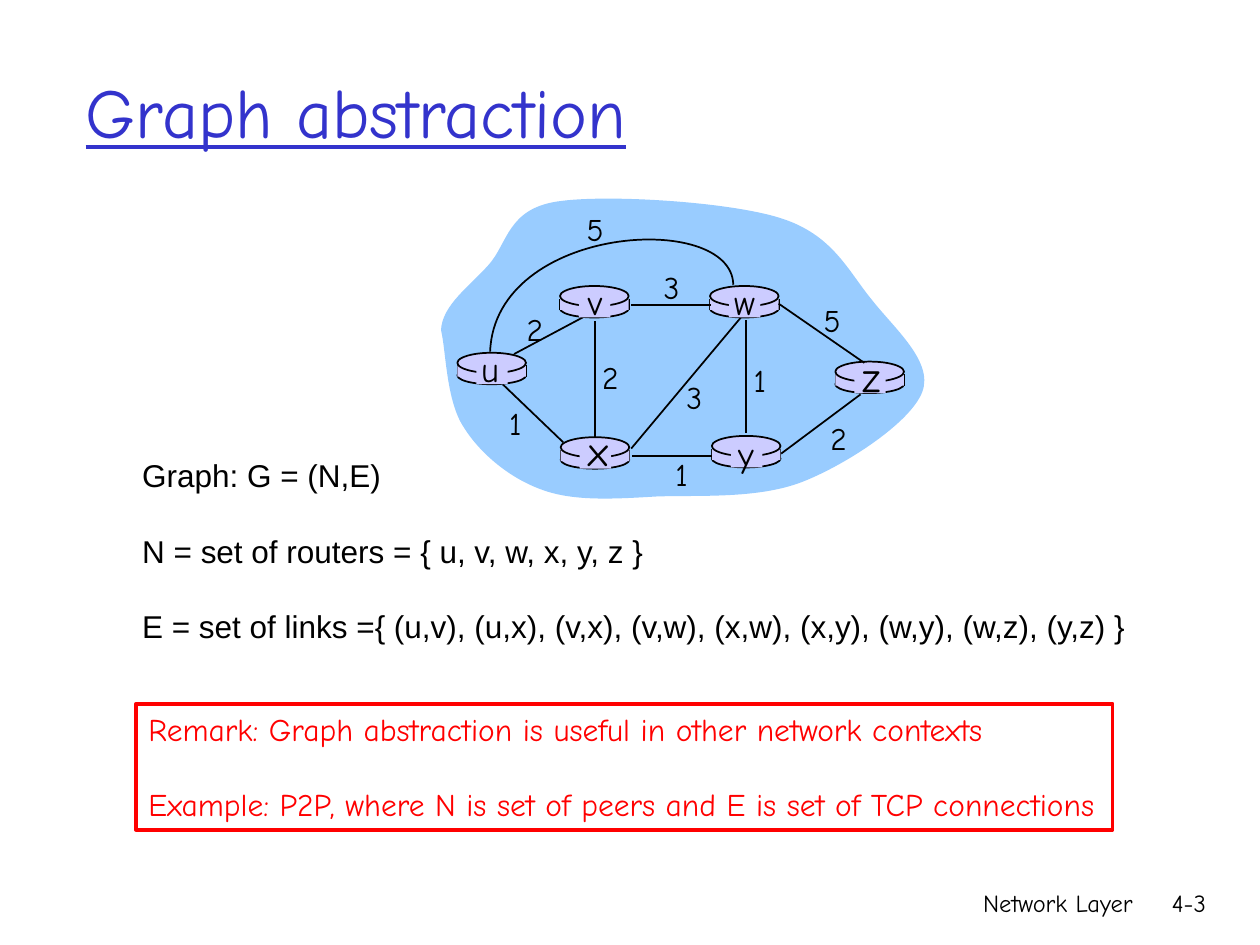
"""Build the slide on graph abstraction of a router network."""
from lxml.etree import SubElement
from pptx import Presentation
from pptx.dml.color import RGBColor as Color
from pptx.enum.shapes import MSO_CONNECTOR as Link, MSO_SHAPE as Preset
from pptx.enum.text import MSO_ANCHOR as Anchor, MSO_AUTO_SIZE as Fit, PP_ALIGN as Align
from pptx.oxml.ns import qn
from pptx.util import Inches, Pt

COLORS = {"cloud": "99CCFF", "router": "CCCCFF", "ink": "000000", "title": "3333CC", "remark": "FF0000"}
PALETTE = {name: Color.from_string(code) for name, code in COLORS.items()}

deck = Presentation()
deck.slide_width, deck.slide_height = Inches(10), Inches(7.5)
CELL = deck.slide_width // 100
page = deck.slides.add_slide(deck.slide_layouts[5])
graph = page.shapes.add_group_shape().shapes


def write(shape, lines, size, color="ink", font="Comic Neue", align=Align.LEFT,
          anchor=Anchor.TOP, wrap=False, gap=0, underline=None):
    frame = shape.text_frame
    frame_format = {"word_wrap": wrap, "auto_size": Fit.NONE, "vertical_anchor": anchor}
    for name, value in frame_format.items():
        setattr(frame, name, value)
    frame.text = "\n".join(lines)
    for index, para in enumerate(frame.paragraphs):
        para.alignment = align
        para.space_before = Pt(gap if index else 0)
        font_format = {"name": font, "size": Pt(size), "underline": underline}
        for name, value in font_format.items():
            setattr(para.runs[0].font, name, value)
        para.runs[0].font.color.rgb = PALETTE[color]


def draw_curve(start, bends, closed):
    grid = [(round(x * CELL), round(y * CELL)) for x, y in [start, *sum(bends, ())]]
    builder = graph.build_freeform(*grid[0])
    builder.add_line_segments(grid[1:], close=closed)
    curve = builder.convert_to_shape()
    segments = list(curve.element.iter(qn("a:lnTo")))
    for first, *others in zip(segments[::3], segments[1::3], segments[2::3]):
        outline = first.getparent()
        bend = SubElement(outline, qn("a:cubicBezTo"))
        outline.replace(first, bend)
        bend.append(first[0])
        for segment in others:
            bend.append(segment[0])
            outline.remove(segment)
    return curve


cloud = draw_curve((35, 26.2), [
    ((35.1, 24.2), (37.3, 22.7), (38.8, 21)),
    ((40.3, 19.3), (40.3, 16.6), (44.2, 16)),
    ((48, 15.4), (57.8, 16), (61.9, 17.3)),
    ((66.1, 18.6), (67.3, 21.5), (69.2, 23.8)),
    ((71, 26.1), (74.1, 28.7), (73.2, 31.1)),
    ((72.3, 33.5), (67.3, 36.8), (63.8, 38.2)),
    ((60.3, 39.6), (55.7, 39.3), (52.2, 39.4)),
    ((48.8, 39.6), (45.6, 39.8), (43.1, 38.9)),
    ((40.5, 38), (38.1, 36), (36.8, 33.9)),
    ((35.4, 31.8), (35.4, 27.8), (35, 26.2)),
], True)
cloud.fill.solid()
cloud.fill.fore_color.rgb = PALETTE["cloud"]
cloud.line.fill.background()

routers = [(36.3, 28), (44.5, 34.7), (44.45, 22.7), (56.35, 22.7), (56.5, 34.6), (66.3, 28.7)]
edges = [
    (40.8, 28.1, 46.8, 24.9), (59.2, 25.4, 59.2, 34.4), (47.2, 25.5, 47.2, 34.8),
    (50.1, 35.6, 58.8, 25.2), (62, 36, 68.3, 31.3), (56.5, 36.2, 50.2, 36.2),
    (44.7, 35.1, 39.9, 30.5), (56.4, 24.2, 50.1, 24.2), (68.6, 28.8, 61.8, 24.1),
]
pieces = [(None, edges[0], True)]
for x, y in routers:
    pieces += [
        (Preset.OVAL, (x, y + 1.1, 5.45, 1.4), True),
        (None, (x, y + 1, x, y + 1.9), True),
        (None, (x + 5.45, y + 1, x + 5.45, y + 1.9), True),
        (Preset.RECTANGLE, (x, y + 1, 5.45, 0.9), False),
        (Preset.OVAL, (x, y, 5.45, 1.6), True),
    ]
pieces += [(None, edge, True) for edge in edges[1:]]
pieces += [(Preset.RECTANGLE, (x + 1.5, y + 0.2, 2.5, 2.3), False) for x, y in routers]

for preset, place, outlined in pieces:
    place = [round(length * CELL) for length in place]
    if preset is None:
        piece = graph.add_connector(Link.STRAIGHT, *place)
    else:
        piece = graph.add_shape(preset, *place)
        piece.fill.solid()
        piece.fill.fore_color.rgb = PALETTE["router"]
    if outlined:
        piece.line.color.rgb = PALETTE["ink"]
        piece.line.width = Pt(1)
    else:
        piece.line.fill.background()

arc = draw_curve((58.2, 22.6), [((58.1, 16.7), (39.3, 17.8), (38.9, 27.9))], False)
arc.fill.background()
arc.line.color.rgb = PALETTE["ink"]
arc.line.width = Pt(1)

labels = [
    ("u", 37.2, 27.1, 3.4, 20), ("y", 57.6, 33.8, 3.2, 20), ("x", 45.7, 33.2, 3.6, 24),
    ("w", 57.3, 21.8, 3.6, 20), ("v", 45.7, 21.8, 3.1, 20), ("z", 67.5, 27.3, 3.4, 24),
    ("2", 40.8, 24.1, 3.3, 18), ("2", 46.8, 27.9, 3.3, 18), ("1", 39.4, 31.6, 3, 18),
    ("3", 53.5, 29.5, 3.2, 18), ("1", 52.6, 35.6, 3, 18), ("1", 58.8, 28.2, 3, 18),
    ("2", 64.9, 32.8, 3.3, 18), ("5", 64.4, 23.4, 3.3, 18), ("3", 51.7, 20.8, 3.2, 18),
    ("5", 45.6, 16.2, 3.3, 18),
]
for text, left, top, width, size in labels:
    box = (left, top, width, size / 5 + 0.4)
    label = graph.add_textbox(*(round(length * CELL) for length in box))
    write(label, [text], size, align=Align.CENTER)

for shape in graph:
    SubElement(shape.element.spPr, qn("a:effectLst"))

title = page.shapes.title
for name, length in {"left": 5.8, "top": 2.5, "width": 85, "height": 12.5}.items():
    setattr(title, name, round(length * CELL))
write(title, ["Graph abstraction"], 40, "title", anchor=Anchor.MIDDLE, wrap=True, underline=True)

definition = page.shapes.add_textbox(*(round(length * CELL) for length in (10.3, 35.7, 80.9, 16)))
write(definition, [
    "Graph: G = (N,E)",
    "N = set of routers = { u, v, w, x, y, z }",
    "E = set of links ={ (u,v), (u,x), (v,x), (v,w), (x,w), (x,y), (w,y), (w,z), (y,z) }",
], 18, font="Arial", gap=21.6)

remark = page.shapes.add_shape(Preset.RECTANGLE, *(round(length * CELL) for length in (10.8, 55.85, 77.5, 10)))
remark.shadow.inherit = False
remark.fill.background()
remark.line.color.rgb = PALETTE["remark"]
remark.line.width = Pt(2.25)
write(remark, [
    "Remark: Graph abstraction is useful in other network contexts",
    "Example: P2P, where N is set of peers and E is set of TCP connections",
], 18, "remark", gap=21.6)

for text, left, width in [("Network Layer", 59.2, 31.7), ("4-3", 89.3, 7.4)]:
    footer = page.shapes.add_textbox(*(round(length * CELL) for length in (left, 70, width, 5)))
    write(footer, [text], 14, align=Align.RIGHT, wrap=True)

deck.save("out.pptx")
